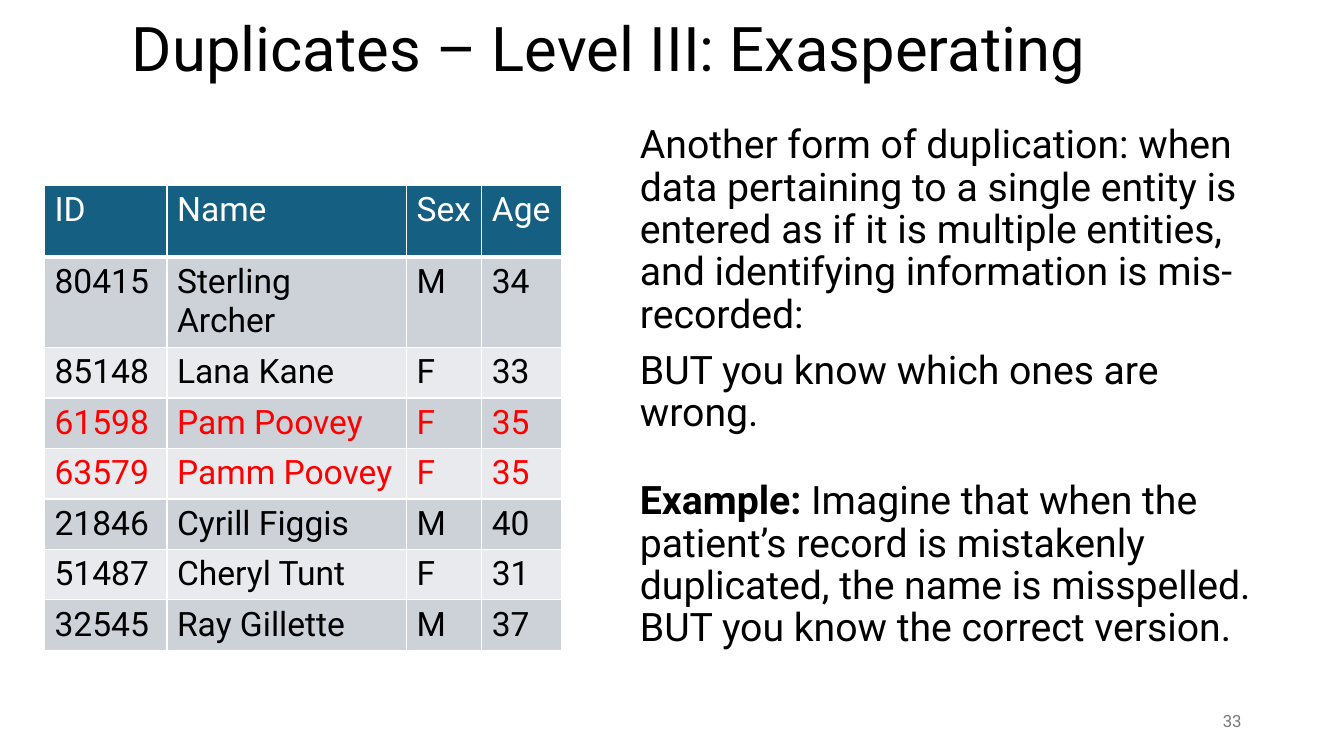
import pptx
import pptx.dml.color
import pptx.enum.text
import pptx.oxml
import pptx.oxml.ns
import pptx.util

Pt = pptx.util.Pt
RGBColor = pptx.dml.color.RGBColor
ANCHOR = pptx.enum.text.MSO_ANCHOR
ALIGN = pptx.enum.text.PP_ALIGN

BLACK = RGBColor(0x00, 0x00, 0x00)
WHITE = RGBColor(0xFF, 0xFF, 0xFF)
RED = RGBColor(0xFF, 0x00, 0x00)
GREY = RGBColor(0x79, 0x79, 0x79)
HEADER_BLUE = RGBColor(0x15, 0x60, 0x82)
BANDS = (RGBColor(0xCC, 0xD2, 0xD8), RGBColor(0xE8, 0xEA, 0xED))


class SlideBuilder:
    """Holds the font and the current slide."""

    font = "Roboto"

    def __init__(self, slide):
        self.slide = slide

    def add_runs(self, paragraph, runs, size, color, **layout):
        """Fill a paragraph with (text, bold) runs."""
        for name, value in layout.items():
            setattr(paragraph, name, value)
        for text, bold in runs:
            run = paragraph.add_run()
            run.text = text
            style = {"name": self.font, "size": Pt(size), "bold": bold}
            for name, value in style.items():
                setattr(run.font, name, value)
            run.font.color.rgb = color

    def text(self, box, paragraphs, size, color=BLACK, anchor=ANCHOR.TOP, **layout):
        """Add a text box; each paragraph is (space before, runs)."""
        frame = self.slide.shapes.add_textbox(*map(Pt, box)).text_frame
        frame.word_wrap = True
        frame.vertical_anchor = anchor
        for index, (gap, runs) in enumerate(paragraphs):
            paragraph = frame.add_paragraph() if index else frame.paragraphs[0]
            self.add_runs(paragraph, runs, size, color, space_before=Pt(gap), **layout)

    def border(self, cell, side, width):
        line = pptx.oxml.parse_xml(
            f'<a:{side} {pptx.oxml.ns.nsdecls("a")} w="{Pt(width)}"><a:solidFill>'
            f'<a:srgbClr val="{WHITE}"/></a:solidFill></a:{side}>')
        cell._tc.get_or_add_tcPr().append(line)

    def table(self, left, top, widths, heights, rows, marked, size):
        """Add a banded table; rows whose first cell is in marked are red."""
        table = self.slide.shapes.add_table(
            len(rows), len(widths), Pt(left), Pt(top),
            Pt(sum(widths)), Pt(sum(heights))).table
        for column, width in zip(table.columns, widths):
            column.width = Pt(width)
        for r, values in enumerate(rows):
            table.rows[r].height = Pt(heights[r])
            fill = BANDS[(r - 1) % 2] if r else HEADER_BLUE
            color = WHITE if r == 0 else RED if values[0] in marked else BLACK
            for c, value in enumerate(values):
                cell = table.cell(r, c)
                # Borders go before the fill; the header is underlined thicker
                for side in ("lnL", "lnR", "lnT", "lnB"):
                    thick = (r, side) in ((0, "lnB"), (1, "lnT"))
                    self.border(cell, side, 3 if thick else 1)
                cell.fill.solid()
                cell.fill.fore_color.rgb = fill
                self.add_runs(cell.text_frame.paragraphs[0], [(value, False)], size, color)


def main():
    deck = pptx.Presentation()
    deck.slide_width, deck.slide_height = Pt(960), Pt(540)
    builder = SlideBuilder(deck.slides.add_slide(deck.slide_layouts[6]))

    # Title
    builder.text((87.1, 8.6, 789, 57),
                 [(0, [("Duplicates – Level III: Exasperating", False)])],
                 44, anchor=ANCHOR.MIDDLE, line_spacing=0.9)

    # Explanation and example
    explanation = [
        (10, [("Another form of duplication: when data pertaining to a single entity "
               "is entered as if it is multiple entities, and identifying information "
               "is mis-recorded:", False)]),
        (10, [("BUT you know which ones are wrong.", False)]),
        (32.6, [("Example:", True),
                (" Imagine that when the patient’s record is mistakenly duplicated, "
                 "the name is misspelled. BUT you know the correct version.", False)]),
    ]
    builder.text((450, 85.7, 466.6, 432.7), explanation, 28, line_spacing=0.9)

    # Slide number
    builder.text((678, 500.5, 216, 28.8), [(0, [("33", False)])], 12, GREY,
                 ANCHOR.MIDDLE, alignment=ALIGN.RIGHT)

    # Patient records, with the duplicated patient marked
    records = [
        ("ID", "Name", "Sex", "Age"),
        ("80415", "Sterling Archer", "M", "34"),
        ("85148", "Lana Kane", "F", "33"),
        ("61598", "Pam Poovey", "F", "35"),
        ("63579", "Pamm Poovey", "F", "35"),
        ("21846", "Cyrill Figgis", "M", "40"),
        ("51487", "Cheryl Tunt", "F", "31"),
        ("32545", "Ray Gillette", "M", "37"),
    ]
    builder.table(31.8, 132.5, (87.5, 171.2, 53.7, 57), [51, 36.7] + [35.7] * 6,
                  records, {"61598", "63579"}, 24)

    deck.save("out.pptx")


if __name__ == "__main__":
    main()
